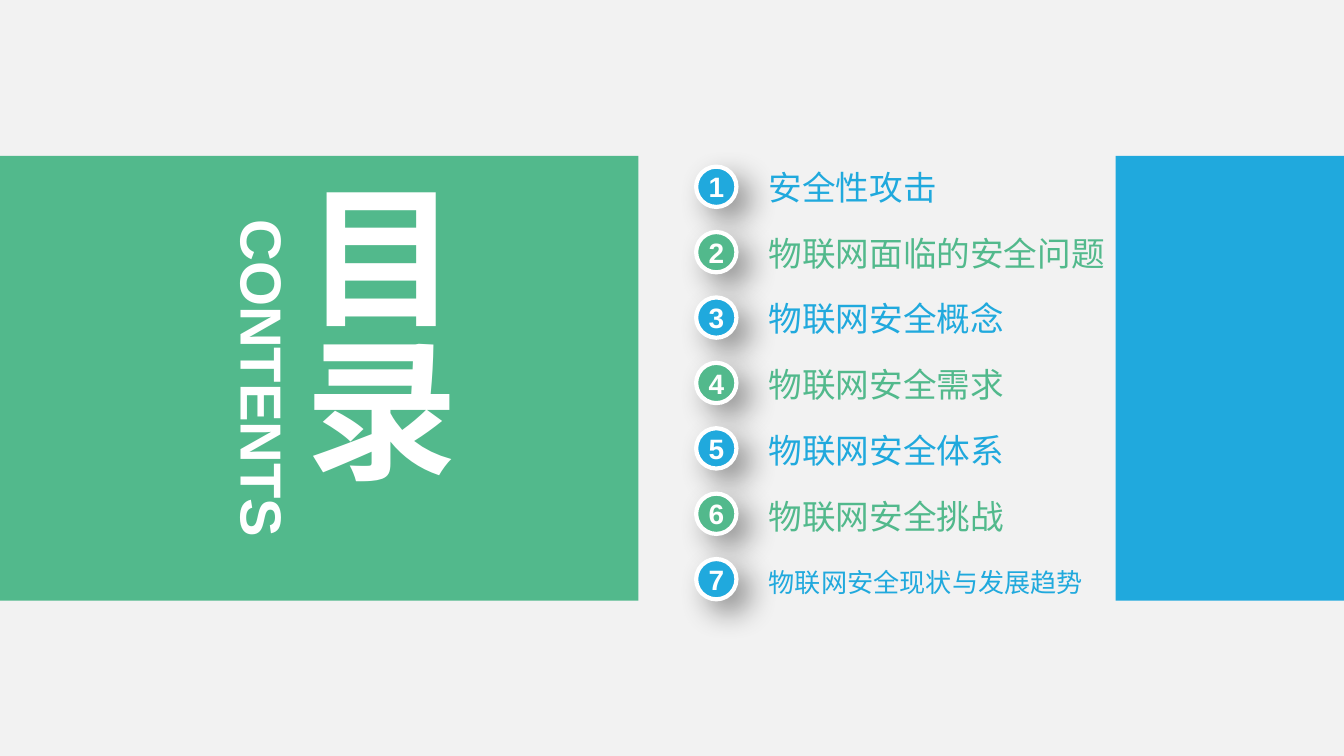
from pptx import Presentation
from pptx.dml.color import RGBColor
from pptx.enum.shapes import MSO_SHAPE as Shape
from pptx.enum.text import MSO_ANCHOR as Anchor, MSO_AUTO_SIZE as AutoSize, PP_ALIGN as Align
from pptx.oxml import parse_xml
from pptx.oxml.ns import nsdecls
from pptx.util import Inches, Pt

COLORS = {"page": "F2F2F2", "green": "52B98C", "blue": "20A9DD", "white": "FFFFFF"}
TOPICS = ["安全性攻击", "物联网面临的安全问题", "物联网安全概念", "物联网安全需求",
          "物联网安全体系", "物联网安全挑战", "物联网安全现状与发展趋势"]

# Grid: panel band, badge column, label column
WIDTH, HEIGHT = 10, 10 * 9 / 16
BAND_TOP, BAND_HEIGHT = 1.16, 3.31
BADGE_LEFT, LABEL_LEFT, LIST_TOP = 5.18, 5.72, 1.24
BADGE_STEP, LABEL_STEP = 2.92 / 6, 0.49
ROW_HEIGHT = 0.3

SHADOW = f"""<a:effectLst {nsdecls('a')}>
  <a:outerShdw blurRad="{Pt(16)}" dist="{Pt(9)}" dir="2700000" algn="tl" rotWithShape="0">
    <a:srgbClr val="000000"><a:alpha val="40000"/></a:srgbClr>
  </a:outerShdw>
</a:effectLst>"""


def color(name):
    return RGBColor.from_string(COLORS[name])


def write(box, text, size, tint, align=Align.CENTER, bold=True, anchor=Anchor.MIDDLE):
    frame = box.text_frame
    frame.margin_left = frame.margin_right = frame.margin_top = frame.margin_bottom = 0
    frame.word_wrap = True
    frame.auto_size = AutoSize.NONE
    frame.vertical_anchor = anchor
    para = frame.paragraphs[0]
    para.text = text
    para.alignment = align
    para.font.name, para.font.size, para.font.bold = "Arial", Pt(size), bold
    para.font.color.rgb = color(tint)


deck = Presentation()
deck.slide_width, deck.slide_height = Inches(WIDTH), Inches(HEIGHT)
page = deck.slides.add_slide(deck.slide_layouts[5])
shapes = page.shapes
page.background.fill.solid()
page.background.fill.fore_color.rgb = color("page")

# Side panels, bleeding slightly past the slide edges
for left, width, tint in [(-0.02, 4.77, "green"), (8.3, 1.72, "blue")]:
    panel = shapes.add_shape(Shape.RECTANGLE, Inches(left), Inches(BAND_TOP),
                             Inches(width), Inches(BAND_HEIGHT))
    panel.shadow.inherit = False
    panel.fill.solid()
    panel.fill.fore_color.rgb = color(tint)
    panel.line.fill.background()

# Vertical title, raised above the green panel
title = shapes.title
title.left, title.top = Inches(2.11), Inches(1.34)
title.width, title.height = Inches(1.38), Inches(2.95)
write(title, "目录", 82, "white")
title.text_frame._txBody.bodyPr.set("vert", "eaVert")
shapes._spTree.append(title._element)

# Rotated subtitle
subtitle = shapes.add_textbox(Inches(0.67), Inches(2.55), Inches(2.57), Inches(0.53))
subtitle.rotation = 90
write(subtitle, "CONTENTS", 31, "white", anchor=Anchor.TOP)

# Numbered topics in alternating colours
for row, topic in enumerate(TOPICS):
    tint = ("blue", "green")[row % 2]
    last = row == len(TOPICS) - 1

    badge = shapes.add_shape(Shape.OVAL, Inches(BADGE_LEFT), Inches(LIST_TOP + row * BADGE_STEP),
                             Inches(ROW_HEIGHT), Inches(ROW_HEIGHT))
    badge.fill.solid()
    badge.fill.fore_color.rgb = color(tint)
    badge.line.color.rgb = color("white")
    badge.line.width = Pt(2.25)
    badge._element.spPr.append(parse_xml(SHADOW))
    write(badge, str(row + 1), 15, "white")

    label = shapes.add_textbox(Inches(LABEL_LEFT), Inches(LIST_TOP + row * LABEL_STEP),
                               Inches(3.45 if last else 2.58), Inches(ROW_HEIGHT))
    write(label, topic, 14 if last else 18, tint, Align.LEFT, bold=False)

deck.save("out.pptx")
